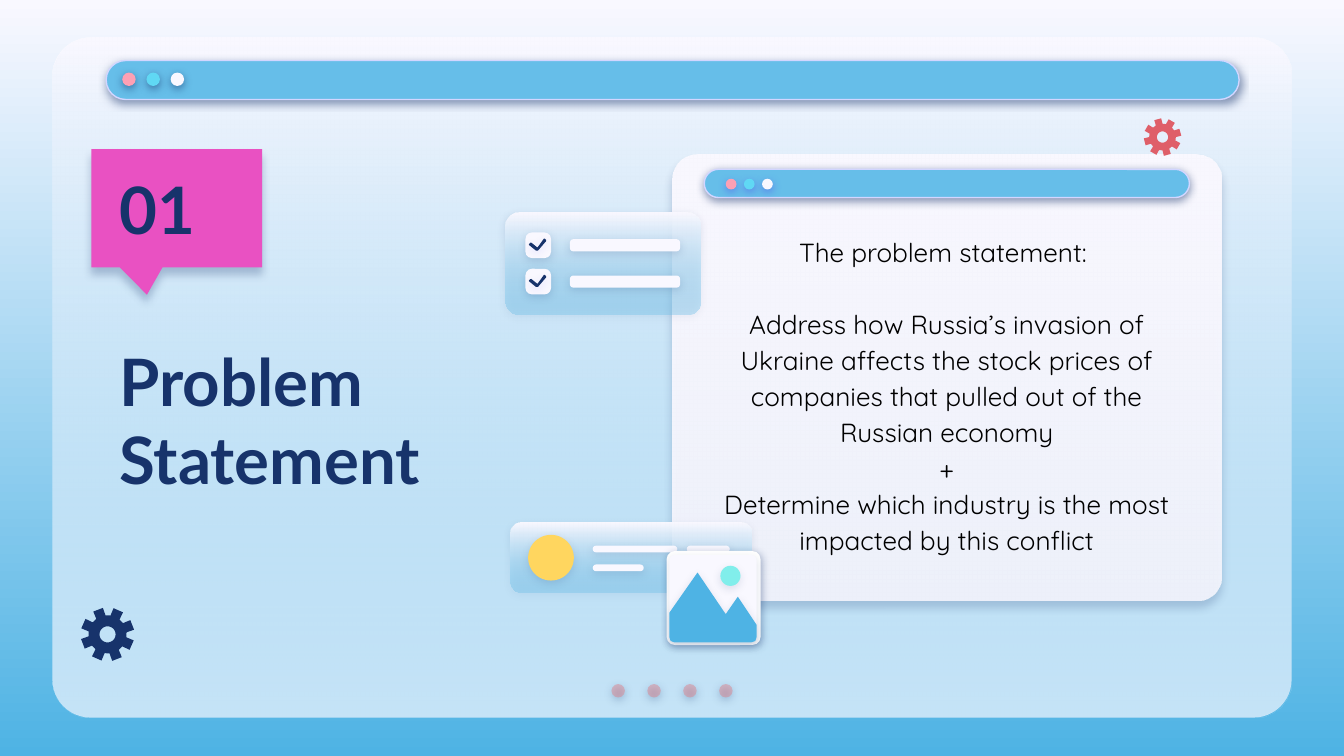
"""Build the "Problem Statement" section slide with its window-style decorations."""
from math import cos, radians, sin

from lxml.etree import SubElement
from pptx import Presentation
from pptx.dml.color import RGBColor
from pptx.enum.shapes import MSO_SHAPE as Preset
from pptx.enum.text import MSO_ANCHOR as Anchor, PP_ALIGN as Align
from pptx.oxml.ns import qn
from pptx.util import Inches, Pt

COLORS = {
    "mist": "F9F8FF", "sky": "4EB3E4", "bar": "66BEE9", "edge": "D2D6FF",
    "navy": "17336B", "violet": "5352EE", "rose": "E27B83", "pink": "FDA0B4",
    "cyan": "60D8F4", "magenta": "E951C2", "sun": "FFD65F", "aqua": "81EEEB",
    "coral": "DF5F69", "white": "FFFFFF", "black": "000000",
}


def rgb(name):
    return RGBColor.from_string(COLORS[name])


def set_alpha(color, percent):
    SubElement(color, qn("a:alpha"), val=str(percent * 1000))


def add_shadow(shape, color, percent, distance=1.5, angle=90):
    effects = shape._element.spPr.find(qn("a:effectLst"))
    outer = SubElement(effects, qn("a:outerShdw"), blurRad=str(Pt(4.5)), dist=str(Pt(distance)),
                       dir=str(angle * 60000), algn="bl", rotWithShape="0")
    set_alpha(SubElement(outer, qn("a:srgbClr"), val=COLORS[color]), percent)


def fade(fill, start, end):
    """Fill from the start colour at the top to the end colour at the bottom."""
    fill.gradient()
    fill.gradient_angle = 270
    for stop, name in zip(fill.gradient_stops, (start, end)):
        stop.color.rgb = rgb(name)


def style(shape, fill, alpha=None, shadow=None, line=None):
    """Give a shape its fill, outline and optional shadow."""
    shape.shadow.inherit = False
    if isinstance(fill, tuple):
        fade(shape.fill, *fill)
    else:
        shape.fill.solid()
        shape.fill.fore_color.rgb = rgb(fill)
    if alpha:
        set_alpha(shape._element.spPr.findall(".//" + qn("a:srgbClr"))[-1], alpha)
    if line:
        shape.line.color.rgb = rgb(line)
        shape.line.width = Pt(0.75)
    else:
        shape.line.fill.background()
    if shadow:
        add_shadow(shape, *shadow)


def add_preset(slide, preset, box, fill, adjust=(), **look):
    shape = slide.shapes.add_shape(preset, *map(Inches, box))
    for index, value in enumerate(adjust):
        shape.adjustments[index] = value
    style(shape, fill, **look)


def add_card(slide, box, corner, fill, **look):
    """Add a rounded rectangle whose corner is a share of its short side."""
    add_preset(slide, Preset.ROUNDED_RECTANGLE, box, fill, [corner], **look)


def add_dot(slide, left, top, size, fill, **look):
    add_preset(slide, Preset.OVAL, (left, top, size, size), fill, **look)


def add_outline(slide, contours, fill, **look):
    """Add one freeform made of closed contours given in inches."""
    builder = None
    for contour in contours:
        start, *rest = [(Inches(x), Inches(y)) for x, y in contour]
        if builder is None:
            builder = slide.shapes.build_freeform(*start)
        else:
            builder.move_to(*start)
        builder.add_line_segments(rest, close=True)
    style(builder.convert_to_shape(), fill, **look)


def add_gear(slide, x, y, radius, first_tooth, fill):
    """Add an eight-toothed gear with a round hole."""
    def point(share, angle):
        return (x + share * radius * cos(radians(angle)),
                y + share * radius * sin(radians(angle)))

    profile = ((0.71, -15), (1, -11), (1, 11), (0.71, 15))
    rim = [point(share, first_tooth + 45 * tooth + offset)
           for tooth in range(8) for share, offset in profile]
    hole = [point(0.3, -angle) for angle in range(0, 360, 10)]
    add_outline(slide, [rim, hole], fill)


def add_window_bar(slide, box, first_dot, size, pitch, glow):
    """Add a title bar with its three window buttons."""
    left, top = first_dot
    add_card(slide, box, 0.5, "bar", line="edge", shadow=("navy", 50))
    for index, fill in enumerate(("pink", "cyan", "mist")):
        add_dot(slide, left + index * pitch, top, size, fill, shadow=(glow, 50))


def add_text(slide, box, lines, font, size, color, bold=False, inset=0.1):
    """Add a vertically centred text box and return its paragraphs."""
    frame = slide.shapes.add_textbox(*map(Inches, box)).text_frame
    frame.word_wrap = True
    frame.vertical_anchor = Anchor.MIDDLE
    frame.margin_left = frame.margin_right = Inches(0.1)
    frame.margin_top = frame.margin_bottom = Inches(inset)
    frame.text = "\n".join(lines)
    for paragraph in frame.paragraphs:
        paragraph.font.name = font
        paragraph.font.size = Pt(size)
        paragraph.font.bold = bold
        paragraph.font.color.rgb = rgb(color)
    return frame.paragraphs


def add_backdrop(slide):
    fade(slide.background.fill, "mist", "sky")
    panel = (0.39, 0.28, 9.22, 5.06)
    add_card(slide, panel, 0.056, "mist")
    add_card(slide, panel, 0.056, ("mist", "bar"), alpha=35)
    for index in range(4):
        add_dot(slide, 4.55 + index * 0.267, 5.09, 0.1, "rose", alpha=44, shadow=("navy", 50))
    add_window_bar(slide, (0.79, 0.45, 8.43, 0.29), (0.91, 0.54), 0.1, 0.18, "navy")


def add_statement(slide):
    add_card(slide, (5, 1.15, 4.09, 3.32), 0.056, ("mist", "mist"), alpha=87,
             shadow=("navy", 22, 3.8, 91))
    add_window_bar(slide, (5.24, 1.26, 3.61, 0.21), (5.4, 1.33), 0.08, 0.135, "violet")
    statement = add_text(slide, (5.23, 1.7, 3.63, 2.46), [
        "The problem statement: ",
        "Address how Russia’s invasion of Ukraine affects the stock prices of "
        "companies that pulled out of the Russian economy",
        "+",
        "Determine which industry is the most impacted by this conflict",
    ], "Quicksand", 14, "black", inset=0.03)
    for paragraph in statement:
        paragraph.alignment = Align.CENTER
        paragraph.line_spacing = 1.15
    statement[0].space_after = Pt(19.3)


def add_checklist(slide):
    soft = ("navy", 15)
    add_card(slide, (3.76, 1.58, 1.45, 0.76), 0.13, ("mist", "bar"), alpha=35, shadow=soft)
    tick = ((4.05, 0.05), (4, 0.12), (3.95, 0.08), (3.94, 0.09),
            (3.99, 0.13), (4, 0.13), (4.06, 0.06))
    for top in (1.73, 2):
        add_card(slide, (4.24, top + 0.05, 0.82, 0.09), 0.28, "mist", shadow=soft)
        add_card(slide, (3.91, top, 0.19, 0.19), 0.25, "mist", shadow=soft)
        add_outline(slide, [[(x, top + y) for x, y in tick]], "navy", line="navy",
                    shadow=("violet", 15))


def add_profile(slide):
    soft = ("navy", 13)
    add_card(slide, (3.8, 3.89, 1.79, 0.52), 0.15, ("mist", "bar"), alpha=35, shadow=soft)
    add_dot(slide, 3.93, 3.98, 0.34, "sun", shadow=soft)
    for left, top, width in ((4.41, 4.06, 0.63), (5.11, 4.06, 0.32), (4.41, 4.2, 0.38)):
        add_card(slide, (left, top, width, 0.05), 0.5, "mist", shadow=soft)


def add_photo(slide):
    soft = ("navy", 13)
    add_card(slide, (4.96, 4.1, 0.7, 0.7), 0.09, "white", shadow=("navy", 33, 1.5, 64))
    add_card(slide, (4.98, 4.13, 0.65, 0.65), 0.06, "mist", shadow=soft)
    mountains = [(5.19, 4.26), (4.98, 4.56), (4.98, 4.74), (4.99, 4.77), (5.02, 4.78),
                 (5.59, 4.78), (5.62, 4.77), (5.63, 4.74), (5.63, 4.65), (5.49, 4.44),
                 (5.4, 4.57)]
    add_outline(slide, [mountains], "sky", shadow=soft)
    add_dot(slide, 5.36, 4.21, 0.15, "aqua", shadow=soft)


def main():
    deck = Presentation()
    deck.slide_width, deck.slide_height = Inches(10), Inches(10 * 9 / 16)
    slide = deck.slides.add_slide(deck.slide_layouts[6])
    add_backdrop(slide)
    add_text(slide, (0.79, 2.34, 3.61, 1.56), ["Problem Statement"], "Lato", 35, "navy", bold=True)
    add_statement(slide)
    add_checklist(slide)
    add_profile(slide)
    add_photo(slide)
    add_preset(slide, Preset.ROUNDED_RECTANGULAR_CALLOUT, (0.68, 1.11, 1.27, 0.88), "magenta",
               (-0.174, 0.731, 0), shadow=("navy", 25, 3.8))
    add_gear(slide, 0.8, 4.72, 0.2, -111, "navy")
    add_gear(slide, 8.65, 1.02, 0.14, -105, "coral")
    add_text(slide, (0.79, 1.16, 1.06, 0.78), ["01"], "Lato", 35, "navy", bold=True)
    deck.save("out.pptx")


if __name__ == "__main__":
    main()
